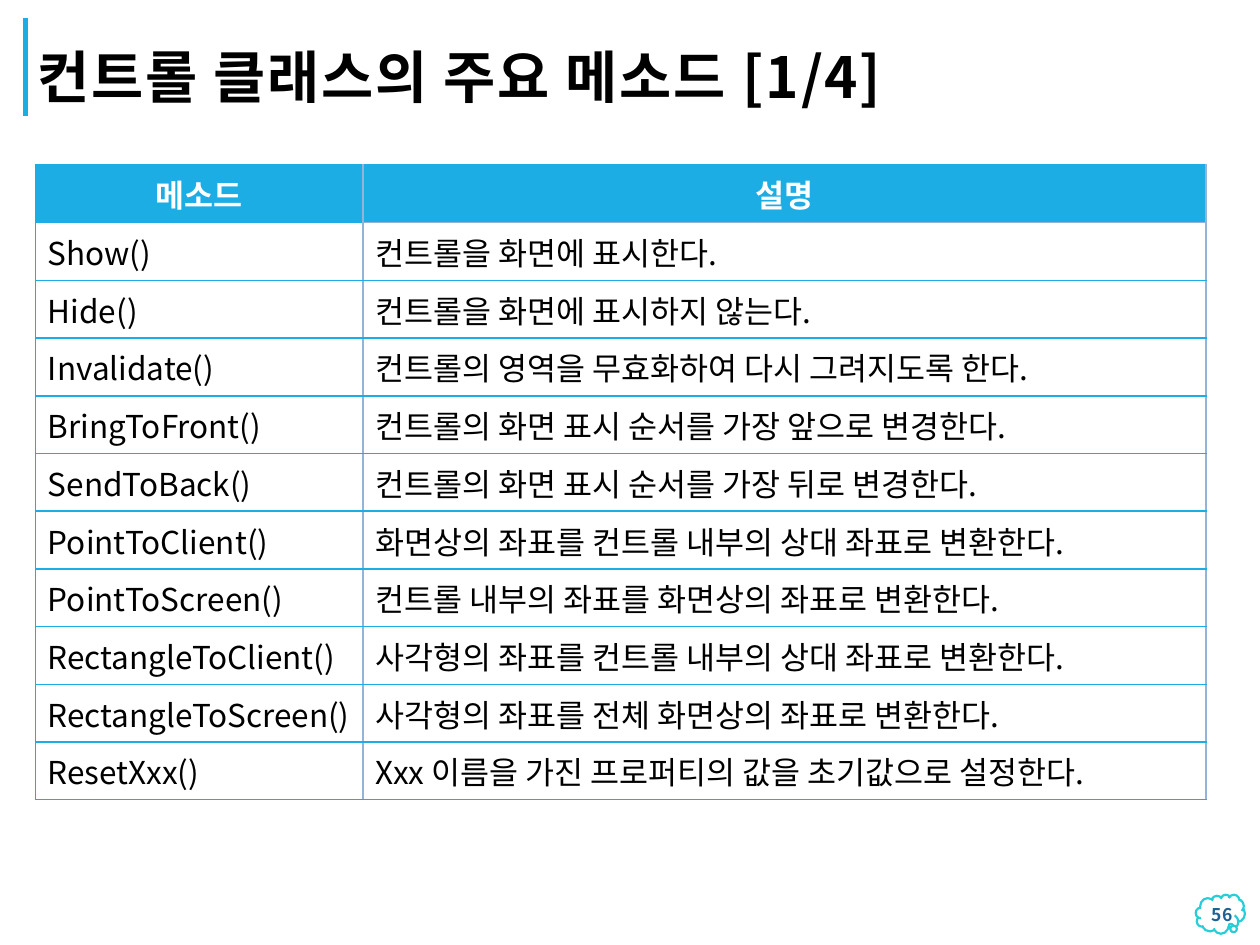
from pptx import Presentation
from pptx.dml.color import RGBColor
from pptx.enum.shapes import MSO_CONNECTOR, MSO_SHAPE
from pptx.enum.text import MSO_ANCHOR, PP_ALIGN
from pptx.oxml.ns import qn
from pptx.util import Inches, Pt
from lxml.etree import SubElement

FONT = "Noto Sans CJK KR"
BLUE, PALE = "1CADE4", "95B3D7"


def rgb(color):
    return RGBColor.from_string(color)


def write(tf, text, size, color, bold, align, anchor):
    tf.word_wrap = True
    tf.vertical_anchor = anchor
    p = tf.paragraphs[0]
    p.alignment = align
    r = p.add_run()
    r.text = text
    p.font.size, p.font.bold, p.font.name = Pt(size), bold, FONT
    p.font.color.rgb = rgb(color)
    # East Asian typeface follows the Latin one
    SubElement(p.font._element, qn("a:ea"), typeface=FONT)
    return p


prs = Presentation()
prs.slide_width, prs.slide_height = Inches(10), Inches(7.5)
s = prs.slides.add_slide(prs.slide_layouts[6])

# Accent bar beside the title
left, top, bottom = Inches(0.2), Inches(0.14), Inches(0.92)
bar = s.shapes.add_connector(MSO_CONNECTOR.STRAIGHT, left, bottom, left, top)
bar.line.color.rgb = rgb(BLUE)
bar.line.width = Pt(3)
SubElement(bar._element.spPr, qn("a:effectLst"))

# Title
title = s.shapes.add_textbox(left, top, Inches(7.97), bottom - top)
p = write(title.text_frame, "컨트롤 클래스의 주요 메소드 [1/4]", 32.4, "000000", True,
          PP_ALIGN.LEFT, MSO_ANCHOR.BOTTOM)
p.line_spacing = 0.8
p.runs[0].font._element.set("spc", "100")

# Method table
rows = [
    ("메소드", "설명"),
    ("Show()", "컨트롤을 화면에 표시한다."),
    ("Hide()", "컨트롤을 화면에 표시하지 않는다."),
    ("Invalidate()", "컨트롤의 영역을 무효화하여 다시 그려지도록 한다."),
    ("BringToFront()", "컨트롤의 화면 표시 순서를 가장 앞으로 변경한다."),
    ("SendToBack()", "컨트롤의 화면 표시 순서를 가장 뒤로 변경한다."),
    ("PointToClient()", "화면상의 좌표를 컨트롤 내부의 상대 좌표로 변환한다."),
    ("PointToScreen()", "컨트롤 내부의 좌표를 화면상의 좌표로 변환한다."),
    ("RectangleToClient()", "사각형의 좌표를 컨트롤 내부의 상대 좌표로 변환한다."),
    ("RectangleToScreen()", "사각형의 좌표를 전체 화면상의 좌표로 변환한다."),
    ("ResetXxx()", "Xxx 이름을 가진 프로퍼티의 값을 초기값으로 설정한다."),
]
widths = [2.6, 6.69]
table = s.shapes.add_table(len(rows), len(widths), Inches(0.28), Inches(1.31),
                           Inches(sum(widths)), Inches(5.04)).table
for column, width in zip(table.columns, widths):
    column.width = Inches(width)

for i, row in enumerate(rows):
    header = i == 0
    for j, text in enumerate(row):
        cell = table.cell(i, j)
        write(cell.text_frame, text, 18, "FFFFFF" if header else "000000", header,
              PP_ALIGN.CENTER if header else PP_ALIGN.LEFT, None)
        cell.vertical_anchor = MSO_ANCHOR.MIDDLE
        # Blue rules, pale ones inside, on the right and under the description header
        borders = {
            "L": PALE if j else BLUE,
            "R": PALE,
            "T": PALE if j and i == 1 else BLUE,
            "B": PALE if j and header else BLUE,
        }
        for side, color in borders.items():
            ln = SubElement(cell._tc.get_or_add_tcPr(), qn(f"a:ln{side}"), w=str(Pt(1)))
            SubElement(SubElement(ln, qn("a:solidFill")), qn("a:srgbClr"), val=color)
        cell.fill.solid()
        cell.fill.fore_color.rgb = rgb(BLUE if header else "FFFFFF")

# Page number in a cloud
cloud = s.shapes.add_shape(MSO_SHAPE.CLOUD_CALLOUT, Inches(9.49), Inches(7.1),
                           Inches(0.39), Inches(0.31))
cloud.adjustments[0], cloud.adjustments[1] = 0.2, 0.28
cloud.shadow.inherit = False
cloud.fill.solid()
cloud.fill.fore_color.rgb = rgb("FFFFFF")
cloud.line.color.rgb = rgb("27CED7")
cloud.line.width = Pt(1.25)
number = s.shapes.add_textbox(Inches(9.25), Inches(7.09), Inches(0.63), Inches(0.34))
write(number.text_frame, "56", 10, "1D6294", True, PP_ALIGN.RIGHT, MSO_ANCHOR.MIDDLE)

prs.save("out.pptx")
